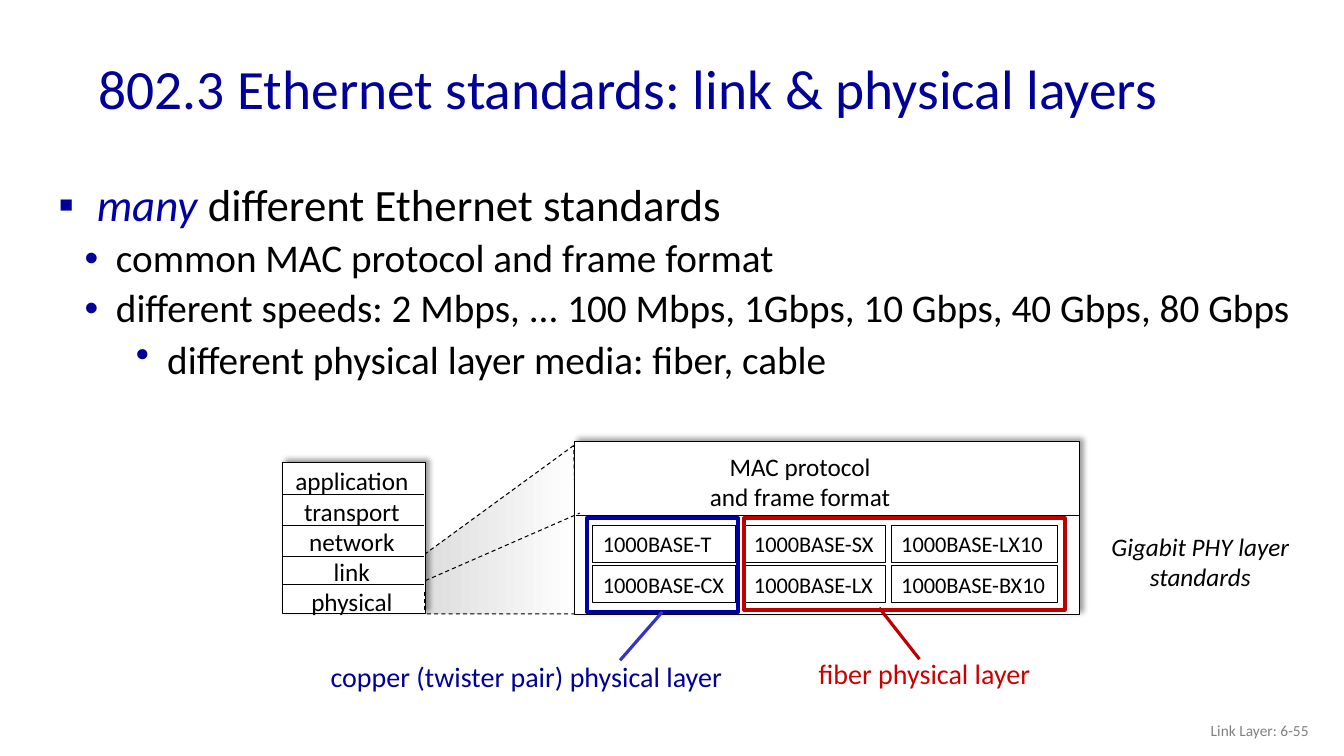
from dataclasses import dataclass
from typing import Any, Optional

import lxml.etree
import pptx
import pptx.dml.color
import pptx.enum.dml
import pptx.enum.shapes
import pptx.enum.text
import pptx.oxml.ns
import pptx.util

Inches = pptx.util.Inches
ALIGN = pptx.enum.text.PP_ALIGN
ANCHOR = pptx.enum.text.MSO_ANCHOR

COLORS = {
    "black": "000000", "white": "FFFFFF", "title": "000099", "emphasis": "0000A8",
    "pointer": "3333CC", "fiber": "C00000", "fiber_text": "CC0000",
    "footer": "808080", "shade": "DDDDDD",
}


@dataclass
class Run:
    text: str
    size: float = 18
    color: str = "black"
    italic: bool = False


@dataclass
class Bullet:
    runs: list[Run]
    character: str
    left: float
    hanging: float
    level: int = 0
    before: float = 0


@dataclass
class Label:
    lines: list[Run]
    box: tuple[float, float, float, float]
    align: Any = ALIGN.CENTER
    anchor: Any = ANCHOR.TOP


@dataclass
class Box:
    box: tuple[float, float, float, float]
    line: str = "black"
    width: float = 0.75
    fill: Optional[str] = None
    shadow: bool = False


@dataclass
class Line:
    start: tuple[float, float]
    end: tuple[float, float]
    color: str = "black"
    width: float = 0.75
    dashed: bool = False


def rgb(name: str) -> pptx.dml.color.RGBColor:
    return pptx.dml.color.RGBColor.from_string(COLORS[name])


def add_xml(parent: Any, tag: str, **attributes: str) -> Any:
    return lxml.etree.SubElement(parent, pptx.oxml.ns.qn(tag), attributes)


def add_run(paragraph: Any, run: Run) -> None:
    text_run = paragraph.add_run()
    text_run.text = run.text
    text_run.font.color.rgb = rgb(run.color)
    formats = {"name": "Calibri", "size": pptx.util.Pt(run.size), "italic": run.italic}
    for name, value in formats.items():
        setattr(text_run.font, name, value)


def format_frame(frame: Any, anchor: Any = ANCHOR.TOP) -> None:
    formats = {"word_wrap": True, "auto_size": pptx.enum.text.MSO_AUTO_SIZE.NONE,
               "vertical_anchor": anchor}
    for name, value in formats.items():
        setattr(frame, name, value)


def place(shape: Any, box: tuple[float, float, float, float]) -> None:
    for name, value in zip(("left", "top", "width", "height"), box):
        setattr(shape, name, Inches(value))


def write_lines(frame: Any, lines: list[Run], align: Any) -> None:
    for index, run in enumerate(lines):
        paragraph = frame.add_paragraph() if index else frame.paragraphs[0]
        paragraph.alignment = align
        add_run(paragraph, run)


def write_bullets(frame: Any, bullets: list[Bullet]) -> None:
    format_frame(frame)
    for index, bullet in enumerate(bullets):
        paragraph = frame.add_paragraph() if index else frame.paragraphs[0]
        properties = paragraph._p.get_or_add_pPr()
        properties.set("marL", str(Inches(bullet.left)))
        properties.set("indent", str(-Inches(bullet.hanging)))
        add_xml(add_xml(properties, "a:buClr"), "a:srgbClr", val=COLORS["title"])
        add_xml(properties, "a:buChar", char=bullet.character)
        formats = {"level": bullet.level, "line_spacing": 0.9,
                   "space_before": pptx.util.Pt(bullet.before)}
        for name, value in formats.items():
            setattr(paragraph, name, value)
        for run in bullet.runs:
            add_run(paragraph, run)


def add_label(slide: Any, label: Label) -> None:
    shape = slide.shapes.add_textbox(*map(Inches, label.box))
    format_frame(shape.text_frame, label.anchor)
    write_lines(shape.text_frame, label.lines, label.align)


def add_box(slide: Any, box: Box) -> Any:
    shape = slide.shapes.add_shape(pptx.enum.shapes.MSO_SHAPE.RECTANGLE, *map(Inches, box.box))
    if box.fill:
        shape.fill.solid()
        shape.fill.fore_color.rgb = rgb(box.fill)
    else:
        shape.fill.background()
    shape.line.color.rgb = rgb(box.line)
    shape.line.width = pptx.util.Pt(box.width)
    shape.shadow.inherit = False
    if box.shadow:
        effects = shape._element.spPr.find(pptx.oxml.ns.qn("a:effectLst"))
        shadow = add_xml(effects, "a:outerShdw", blurRad="50800", dist="38100", dir="18900000")
        add_xml(add_xml(shadow, "a:srgbClr", val=COLORS["black"]), "a:alpha", val="40000")
    return shape


def add_line(slide: Any, line: Line) -> Any:
    connector = slide.shapes.add_connector(
        pptx.enum.shapes.MSO_CONNECTOR.STRAIGHT, *map(Inches, line.start + line.end))
    connector.line.color.rgb = rgb(line.color)
    connector.line.width = pptx.util.Pt(line.width)
    if line.dashed:
        connector.line.dash_style = pptx.enum.dml.MSO_LINE.DASH
    add_xml(connector._element.spPr, "a:effectLst")
    return connector


def add_zoom_wedge(slide: Any, points: list[tuple[float, float]]) -> None:
    corners = [(x * 100, y * 100) for x, y in points]
    builder = slide.shapes.build_freeform(*corners[0], scale=Inches(0.01))
    builder.add_line_segments(corners[1:], close=True)
    wedge = builder.convert_to_shape()
    wedge.fill.gradient()
    wedge.fill.gradient_angle = 0
    for stop, color in zip(wedge.fill.gradient_stops, ("shade", "white")):
        stop.color.rgb = rgb(color)
    wedge.line.color.rgb = rgb("black")
    wedge.line.width = pptx.util.Pt(0.75)
    wedge.line.dash_style = pptx.enum.dml.MSO_LINE.DASH
    wedge.shadow.inherit = False


def main() -> None:
    presentation = pptx.Presentation()
    presentation.slide_width, presentation.slide_height = Inches(13.33), Inches(7.5)
    slide = presentation.slides.add_slide(presentation.slide_layouts[1])

    # Title and bullets
    title, body = slide.placeholders
    place(title, (0.88, 0.38, 11.5, 0.98))
    format_frame(title.text_frame, ANCHOR.MIDDLE)
    heading = Run("802.3 Ethernet standards: link & physical layers", 39.6, "title")
    write_lines(title.text_frame, [heading], ALIGN.LEFT)
    place(body, (0.48, 1.76, 12.78, 1.74))
    speeds = "different speeds: 2 Mbps, ... 100 Mbps, 1Gbps, 10 Gbps, 40 Gbps, 80 Gbps"
    write_bullets(body.text_frame, [
        Bullet([Run("many ", 32, "emphasis", True), Run("different Ethernet standards", 32)],
               "▪", 0.38, 0.38),
        Bullet([Run("common MAC protocol and frame format", 28)], "•", 0.57, 0.31, 1, 5.6),
        Bullet([Run(speeds, 28)], "•", 0.57, 0.31, 1, 5.6)])
    media = slide.shapes.add_textbox(*map(Inches, (0.99, 3.33, 12.25, 0.51)))
    write_bullets(media.text_frame, [
        Bullet([Run("different physical layer media: fiber, cable", 28)], "•", 0.57, 0.31, 1)])

    # Protocol stack with its zoom wedge
    add_zoom_wedge(slide, [(5.69, 4.42), (4.21, 5.5), (4.22, 6.09), (5.73, 6.09)])
    add_box(slide, Box((2.8, 4.59, 1.42, 1.5), fill="white", shadow=True))
    layers = ("application", "transport", "network", "link", "physical")
    add_label(slide, Label([Run(layer) for layer in layers], (2.82, 4.57, 1.34, 1.62)))
    for y in (4.91, 5.21, 5.52, 5.8):
        add_line(slide, Line((2.8, y), (4.21, y)))
    for x in (2.8, 4.21):
        add_line(slide, Line((x, 5.87), (x, 6.05), dashed=True))

    # Link and physical layer detail
    add_box(slide, Box((5.7, 4.38, 5.01, 1.72), fill="white", shadow=True))
    add_line(slide, Line((5.71, 5.11), (10.7, 5.11)))
    add_line(slide, Line((4.22, 5.76), (5.75, 5.09), dashed=True))
    columns = [(5.88, 1.42, ("T", "CX")), (7.38, 1.4, ("SX", "LX")),
               (8.84, 1.65, ("LX10", "BX10"))]
    for left, width, suffixes in columns:
        for row, suffix in enumerate(suffixes):
            shape = add_box(slide, Box((left, 5.21 + 0.4 * row, width, 0.37)))
            format_frame(shape.text_frame, ANCHOR.MIDDLE)
            shape.text_frame.margin_right = 0
            write_lines(shape.text_frame, [Run(f"1000BASE-{suffix}", 16)], ALIGN.LEFT)

    # Copper and fiber groups
    copper = add_box(slide, Box((5.82, 5.14, 1.5, 0.93), "emphasis", 3))
    add_box(slide, Box((7.38, 5.14, 3.18, 0.91), "fiber", 3))
    pointer = add_line(slide, Line((6.57, 6.07), (6.15, 6.55), "pointer", 2.25))
    pointer.begin_connect(copper, 2)
    add_line(slide, Line((8.72, 6.03), (9.12, 6.54), "fiber", 2.25))

    # Labels and footer
    for label in (
        Label([Run("MAC protocol"), Run("and frame format")], (6.93, 4.43, 2.01, 0.71)),
        Label([Run("copper (twister pair) physical layer", 20, "title")],
              (3.18, 6.49, 4.26, 0.44), ALIGN.LEFT),
        Label([Run("fiber physical layer", 20, "fiber_text")],
              (8.02, 6.46, 2.32, 0.44), ALIGN.LEFT),
        Label([Run("Gigabit PHY layer standards", italic=True)], (10.92, 5.22, 1.97, 0.71)),
        Label([Run("Link Layer: 6-55", 11, "footer")], (10.08, 7.05, 3, 0.4),
              ALIGN.RIGHT, ANCHOR.MIDDLE),
    ):
        add_label(slide, label)

    presentation.save("out.pptx")


if __name__ == "__main__":
    main()
